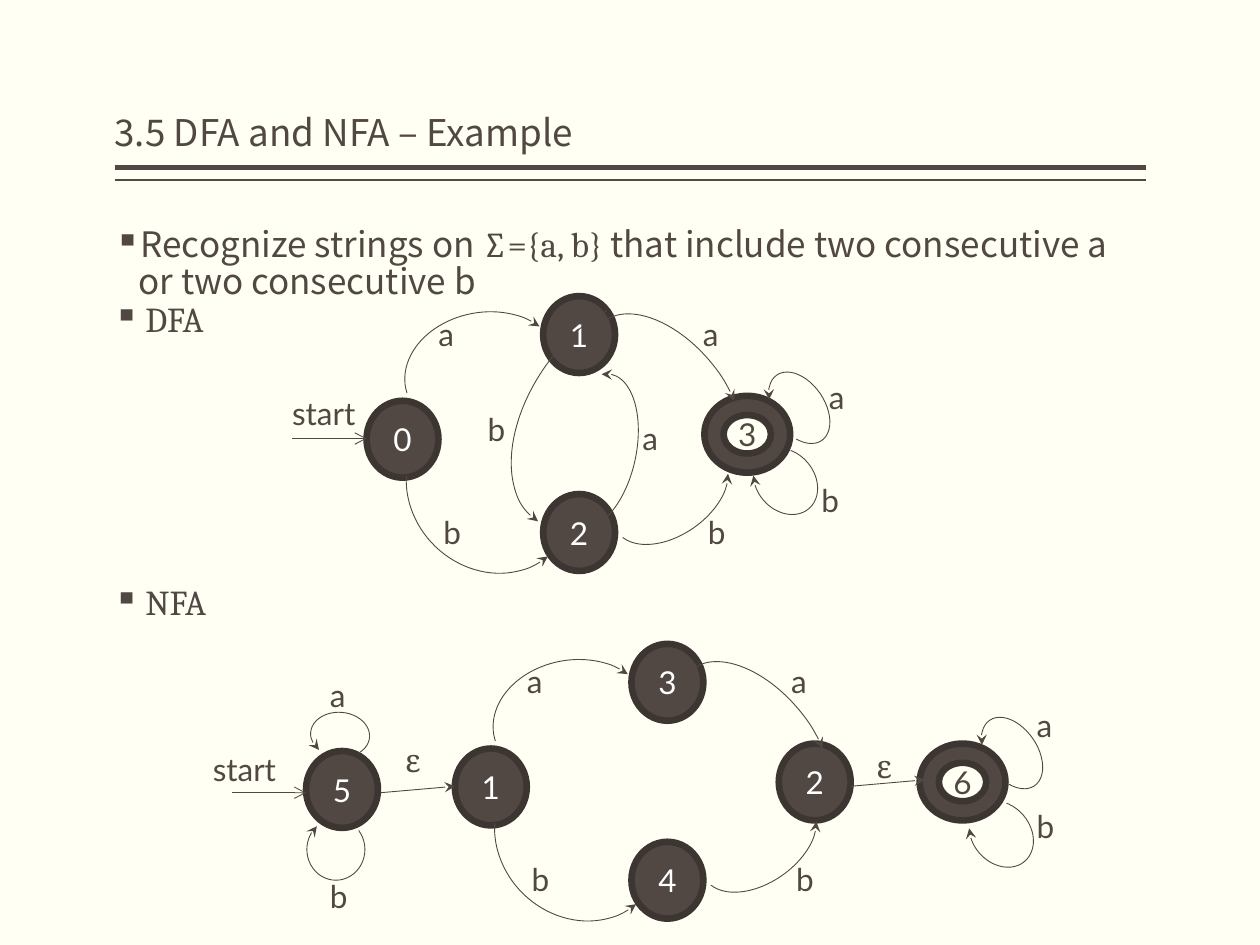
from pptx import Presentation
from pptx.dml.color import RGBColor
from pptx.enum.shapes import MSO_CONNECTOR, MSO_SHAPE
from pptx.enum.text import MSO_ANCHOR, MSO_AUTO_SIZE, PP_ALIGN
from pptx.oxml.ns import qn
from pptx.util import Cm, Pt
from lxml import etree

STRAIGHT = MSO_CONNECTOR.STRAIGHT
ARC, OVAL, DONUT = MSO_SHAPE.ARC, MSO_SHAPE.OVAL, MSO_SHAPE.DONUT
BOTTOM, MIDDLE = MSO_ANCHOR.BOTTOM, MSO_ANCHOR.MIDDLE
LEFT, CENTER = PP_ALIGN.LEFT, PP_ALIGN.CENTER
NO_FIT = MSO_AUTO_SIZE.NONE
BROWN, DARK, WHITE, CREAM = "514843", "3C3532", "FFFFFF", "FFFFF3"
SANS, SERIF, LABEL = "Noto Sans CJK SC", "Cambria", "Lato"
color = RGBColor.from_string


def add_run(paragraph, text, size, font, fill=BROWN):
    run = paragraph.add_run()
    run.text = text
    run.font.size = Pt(size)
    run.font.name = font
    run.font.color.rgb = color(fill)


def style_line(shape, width, end=None, arrow=None):
    shape.line.color.rgb = color(BROWN)
    shape.line.width = Pt(width)
    properties = shape.element.spPr
    if end:
        etree.SubElement(properties.find(qn("a:ln")), qn("a:" + end), type=arrow)
    if properties.find(qn("a:effectLst")) is None:
        etree.SubElement(properties, qn("a:effectLst"))


presentation = Presentation()
presentation.slide_width, presentation.slide_height = Cm(25.4), Cm(19.05)
slide = presentation.slides.add_slide(presentation.slide_layouts[5])
slide.background.fill.solid()
slide.background.fill.fore_color.rgb = color(CREAM)
shapes = slide.shapes

# Title and the double rule below it
title = shapes.title
title.left, title.top, title.width, title.height = Cm(2.31), Cm(0.2), Cm(20.8), Cm(3.05)
frame = title.text_frame
frame.auto_size = NO_FIT
frame.vertical_anchor = BOTTOM
frame.margin_left = frame.margin_right = 0
paragraph = frame.paragraphs[0]
paragraph.alignment = LEFT
paragraph.line_spacing = 0.9
add_run(paragraph, "3.5 DFA and NFA – Example", 21, SANS)
for y, width in ((3.38, 3), (3.63, 1)):
    rule = shapes.add_connector(STRAIGHT, Cm(2.31), Cm(y), Cm(23.11), Cm(y))
    style_line(rule, width)

# Bulleted texts: left, top, height, indent, space before, runs
task = [("Recognize strings on ", SANS), ("∑={a, b} ", SERIF),
        ("that include two consecutive a or two consecutive b", SANS)]
bullets = [
    (2.31, 4.45, 12.7, 0.48, 13.5, task),
    (2.29, 5.97, 1.37, 0.64, 18, [("DFA", SERIF)]),
    (2.29, 11.68, 1.37, 0.64, 18, [("NFA", SERIF)]),
]
for left, top, height, indent, space, runs in bullets:
    box = shapes.add_textbox(Cm(left), Cm(top), Cm(20.8), Cm(height))
    frame = box.text_frame
    frame.word_wrap = True
    frame.margin_left = frame.margin_right = 0
    paragraph = frame.paragraphs[0]
    paragraph.line_spacing = 0.9
    paragraph.space_before = Pt(space)
    for text, font in runs:
        add_run(paragraph, text, 20, font)
    properties = paragraph._p.get_or_add_pPr()
    properties.set("marL", str(Cm(indent)))
    properties.set("indent", str(-Cm(indent)))
    etree.SubElement(properties, qn("a:buChar"), char="▪")

# Parts of the two automata
states = [(OVAL, "2", 15.7, 14.99), (OVAL, "5", 6.17, 15.14),
          (DONUT, "3", 14.2, 7.98), (DONUT, "6", 18.54, 14.99)]
# Arcs: left, top, width, height, rotation, start, end, arrow end
arcs = [
    (9.68, 6.76, 5.16, 3.18, 303.9, 107.58, 195.21, "headEnd"),
    (10.39, 8.26, 3.18, 1.68, 102.2, 103.93, 205.19, "headEnd"),
]
labels = [
    ("a", 12.7, 8.33), ("b", 9.58, 8.15), ("a", 16.46, 7.49), ("b", 16.31, 9.58),
    ("a", 20.65, 14.1), ("b", 20.65, 16.15), ("a", 6.4, 13.51), ("b", 6.4, 17.55),
    ("ε", 7.92, 14.81), ("ε", 17.42, 14.94),
    ("start", 5.64, 7.82), ("start", 4.04, 14.99),
]

# The branching core is the same in both automata
for x, y, names in ((0, 0, "012"), (1.78, 7.01, "134")):
    for name, left, top in zip(names, (7.39, 10.95, 10.95), (8.08, 5.97, 9.96)):
        states.append((OVAL, name, left + x, top + y))
    arcs += [
        (8.15 + x, 6.3 + y, 3.18, 2.44, 349.3, 105.5, 198.7, "tailEnd"),
        (11.48 + x, 6.86 + y, 3.91, 2.24, 49.3, 110.15, 188.75, "tailEnd"),
        (8.1 + x, 8.28 + y, 3.56, 3.18, 224.2, 110.97, 195.21, "headEnd"),
        (12.22 + x, 9.19 + y, 2.59, 1.6, 145.6, 116.2, 211.95, "headEnd"),
    ]
    for text, left, top in (("a", 8.59, 6.22), ("b", 8.69, 10.21),
                            ("a", 13.92, 6.22), ("b", 14.02, 10.21)):
        labels.append((text, left + x, top + y))

# Self loops, each pair an upper "a" and a lower "b"
upper_loops = [(15.6, 7.42, 1.02, 1.6, 145.6), (19.89, 14.38, 1.02, 1.6, 145.6),
               (6.4, 14.22, 0.91, 1.19, 95)]
lower_loops = [(15.11, 9.12, 1.45, 1.17, 49.3), (19.46, 16.23, 1.45, 1.17, 49.3),
               (6.15, 16.54, 1.24, 1.17, 90)]
arcs += [loop + (29.7, 185.9, "headEnd") for loop in upper_loops]
arcs += [loop + (138.14, 84.42, "tailEnd") for loop in lower_loops]

# States
for kind, name, left, top in states:
    width = 1.73 if kind == DONUT else 1.45
    state = shapes.add_shape(kind, Cm(left), Cm(top), Cm(width), Cm(1.55))
    state.shadow.inherit = False
    state.fill.solid()
    state.fill.fore_color.rgb = color(BROWN)
    state.line.color.rgb = color(DARK)
    state.line.width = Pt(3.78)
    state.text_frame.vertical_anchor = MIDDLE
    paragraph = state.text_frame.paragraphs[0]
    paragraph.alignment = CENTER
    add_run(paragraph, name, 18, LABEL, BROWN if kind == DONUT else WHITE)

# Curved transitions
for left, top, width, height, rotation, start, stop, end in arcs:
    arc = shapes.add_shape(ARC, Cm(left), Cm(top), Cm(width), Cm(height))
    arc.shadow.inherit = False
    arc.fill.background()
    arc.rotation = rotation
    arc.adjustments[0], arc.adjustments[1] = start, stop
    style_line(arc, 0.5, end, "stealth")

# Straight transitions
for x1, y1, x2, y2, arrow in (
    (5.89, 8.84, 7.39, 8.84, "arrow"), (4.67, 15.98, 6.17, 15.98, "arrow"),
    (7.67, 15.98, 9.17, 15.85, "stealth"), (17.15, 15.85, 18.64, 15.72, "stealth"),
):
    line = shapes.add_connector(STRAIGHT, Cm(x1), Cm(y1), Cm(x2), Cm(y2))
    style_line(line, 0.5, "tailEnd", arrow)

# Transition labels
widths = {"a": 0.89, "b": 0.89, "ε": 0.79, "start": 1.85}
for text, left, top in labels:
    box = shapes.add_textbox(Cm(left), Cm(top), Cm(widths[text]), Cm(1.02))
    box.text_frame.word_wrap = False
    add_run(box.text_frame.paragraphs[0], text, 18, SERIF if text == "ε" else LABEL)

presentation.save("out.pptx")
